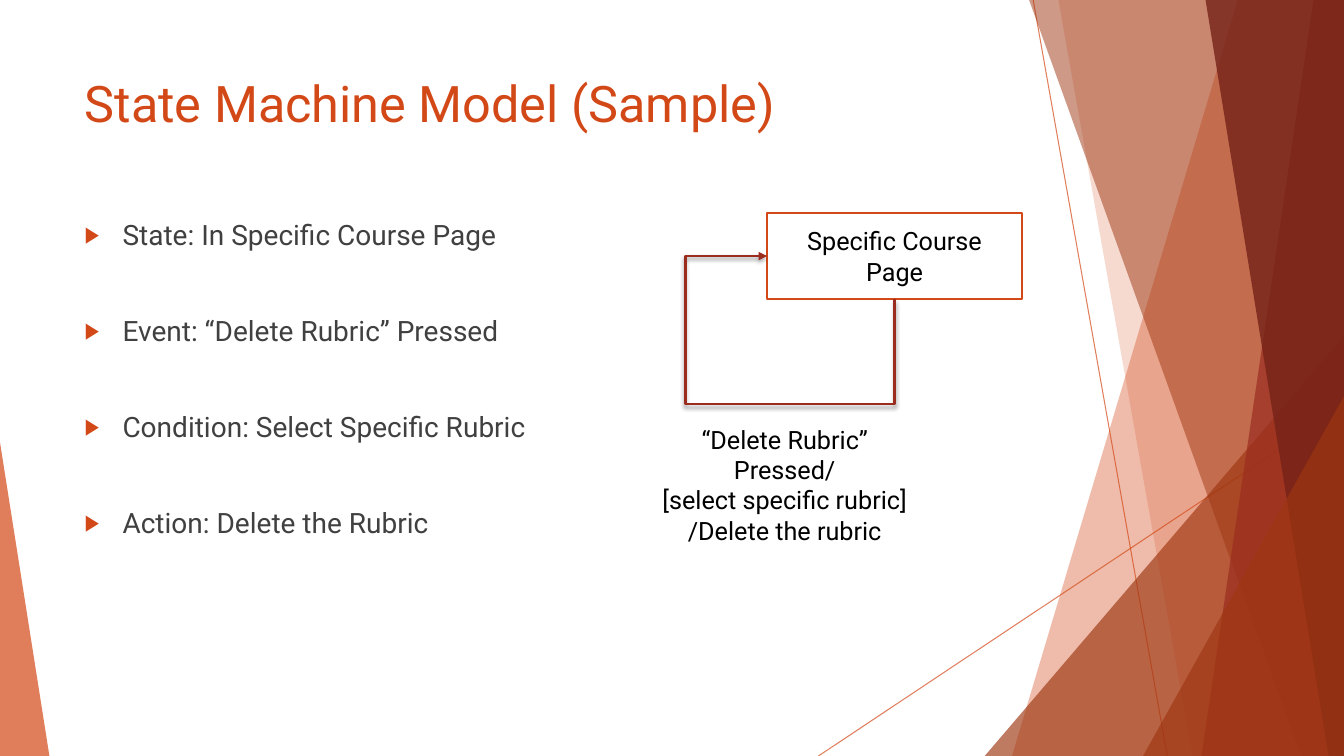
from pptx import Presentation
from pptx.dml.color import RGBColor
from pptx.enum.shapes import MSO_CONNECTOR, MSO_SHAPE
from pptx.enum.text import MSO_ANCHOR, MSO_AUTO_SIZE, PP_ALIGN
from pptx.oxml import parse_xml
from pptx.oxml.ns import nsdecls, qn
from pptx.util import Pt
from lxml.etree import SubElement

ORANGE, RUST, BRICK, MAROON = "D34817", "9E3611", "9B2D1F", "742217"


def paint(fill, colour, opacity=100):
    fill.solid()
    fill.fore_color.rgb = RGBColor.from_string(colour)
    if opacity < 100:
        colour_element = fill._xPr.find(".//" + qn("a:srgbClr"))
        SubElement(colour_element, qn("a:alpha"), val=str(opacity * 1000))


def style(paragraph, size, colour, alignment):
    paragraph.alignment = alignment
    paragraph.font.name = "Roboto"
    paragraph.font.size = Pt(size)
    paint(paragraph.font.fill, colour)


presentation = Presentation()
presentation.slide_width, presentation.slide_height = Pt(960), Pt(540)
slide = presentation.slides.add_slide(presentation.slide_layouts[1])
shapes = slide.shapes
title, body = slide.placeholders

# Thin crossing lines of the background
for ends in [(738, 0, 833.8, 540), (960, 290.2, 584.6, 540)]:
    line = shapes.add_connector(MSO_CONNECTOR.STRAIGHT, *map(Pt, ends))
    line.line.width = Pt(0.75)
    paint(line.line.fill, ORANGE, 70)
    SubElement(line._element.spPr, qn("a:effectLst"))

# Translucent facets: a band is (top x, bottom x) up to the right edge,
# a triangle is (left, top, width, height, apex)
facets = [
    ((884.2, 722.9), ORANGE, 36),
    ((756, 851.8), ORANGE, 20),
    ((703.4, 240, 256.6, 300, 1), RUST, 66),
    ((735.1, 929.5), RUST, 50),
    ((938.2, 858.2), BRICK, 70),
    ((861.1, 949), MAROON, 80),
    ((816.5, 283, 143.5, 257, 1), RUST, 66),
    ((0, 316, 35.3, 224, 0), ORANGE, 70),
]
for geometry, colour, opacity in facets:
    if len(geometry) == 2:
        top_x, bottom_x = geometry
        builder = shapes.build_freeform(Pt(top_x), Pt(0))
        corners = [(960, 0), (960, 540), (bottom_x, 540)]
        builder.add_line_segments([(Pt(x), Pt(y)) for x, y in corners])
        facet = builder.convert_to_shape()
    else:
        *box, apex = geometry
        facet = shapes.add_shape(MSO_SHAPE.ISOSCELES_TRIANGLE, *map(Pt, box))
        facet.adjustments[0] = apex
    paint(facet.fill, colour, opacity)
    facet.line.fill.background()
    facet.shadow.inherit = False

# Title and body stand in front of the background
for placeholder, top, height in [(title, 48.2, 103.7), (body, 151.9, 305.3)]:
    placeholder.left, placeholder.top = Pt(53.3), Pt(top)
    placeholder.width, placeholder.height = Pt(676.8), Pt(height)
    placeholder.text_frame.vertical_anchor = MSO_ANCHOR.TOP
    placeholder.text_frame.auto_size = MSO_AUTO_SIZE.NONE
    shapes._spTree.append(placeholder._element)

title.text_frame.text = "State Machine Model (Sample)"
style(title.text_frame.paragraphs[0], 36, ORANGE, PP_ALIGN.LEFT)

# Bulleted list
body.text_frame.text = "\n".join([
    "State: In Specific Course Page",
    "Event: “Delete Rubric” Pressed",
    "Condition: Select Specific Rubric",
    "Action: Delete the Rubric",
])
for index, paragraph in enumerate(body.text_frame.paragraphs):
    properties = paragraph._p.get_or_add_pPr()
    properties.set("marL", str(Pt(27)))
    properties.set("indent", str(Pt(-27)))
    bullet_colour = SubElement(properties, qn("a:buClr"))
    SubElement(bullet_colour, qn("a:srgbClr"), val=ORANGE)
    SubElement(properties, qn("a:buSzPct"), val="80000")
    SubElement(properties, qn("a:buChar"), char="▶")
    paragraph.space_before = Pt(44.6 if index else 0)
    style(paragraph, 20, "404040", PP_ALIGN.LEFT)

# State box
state = shapes.add_shape(
    MSO_SHAPE.RECTANGLE, Pt(547.9), Pt(151.9), Pt(182.2), Pt(61.9))
state.shadow.inherit = False
paint(state.fill, "FFFFFF")
paint(state.line.fill, ORANGE)
state.line.width = Pt(1.5)
state.text_frame.word_wrap = True
state.text_frame.vertical_anchor = MSO_ANCHOR.MIDDLE
state.text_frame.text = "Specific Course Page"
style(state.text_frame.paragraphs[0], 18, "000000", PP_ALIGN.CENTER)

# Transition looping from the bottom of the state back to its left side
loop = shapes.add_connector(
    MSO_CONNECTOR.ELBOW, Pt(639), Pt(213.8), Pt(547.9), Pt(182.9))
loop.begin_connect(state, 2)
loop.end_connect(state, 1)
loop.left, loop.top = Pt(578), Pt(152.8)
loop.width, loop.height = Pt(30.95), Pt(91.1)
loop_properties = loop._element.spPr
frame = loop_properties.find(qn("a:xfrm"))
frame.attrib.pop("flipV", None)
frame.set("rot", "5400000")
frame.set("flipH", "1")
bend = loop_properties.find(qn("a:prstGeom"))
bend.set("prst", "bentConnector4")
guides = bend.find(qn("a:avLst"))
for name, value in [("adj1", -241600), ("adj2", 163900)]:
    SubElement(guides, qn("a:gd"), name=name, fmla=f"val {value}")
paint(loop.line.fill, BRICK)
loop.line.width = Pt(2)
SubElement(loop.line._get_or_add_ln(), qn("a:tailEnd"), type="triangle")
loop_properties.append(parse_xml(
    f'<a:effectLst {nsdecls("a")}>'
    f'<a:outerShdw blurRad="{Pt(3)}" dist="{Pt(2)}" dir="5400000" rotWithShape="0">'
    '<a:srgbClr val="000000"><a:alpha val="35000"/></a:srgbClr>'
    '</a:outerShdw></a:effectLst>'))

# Transition label
label = shapes.add_textbox(Pt(465.1), Pt(299.5), Pt(190.8), Pt(94.3))
label.text_frame.word_wrap = True
label.text_frame.auto_size = MSO_AUTO_SIZE.SHAPE_TO_FIT_TEXT
label.text_frame.text = (
    "“Delete Rubric” Pressed/\n[select specific rubric]\n/Delete the rubric")
for paragraph in label.text_frame.paragraphs:
    style(paragraph, 18, "000000", PP_ALIGN.CENTER)

presentation.save("out.pptx")
